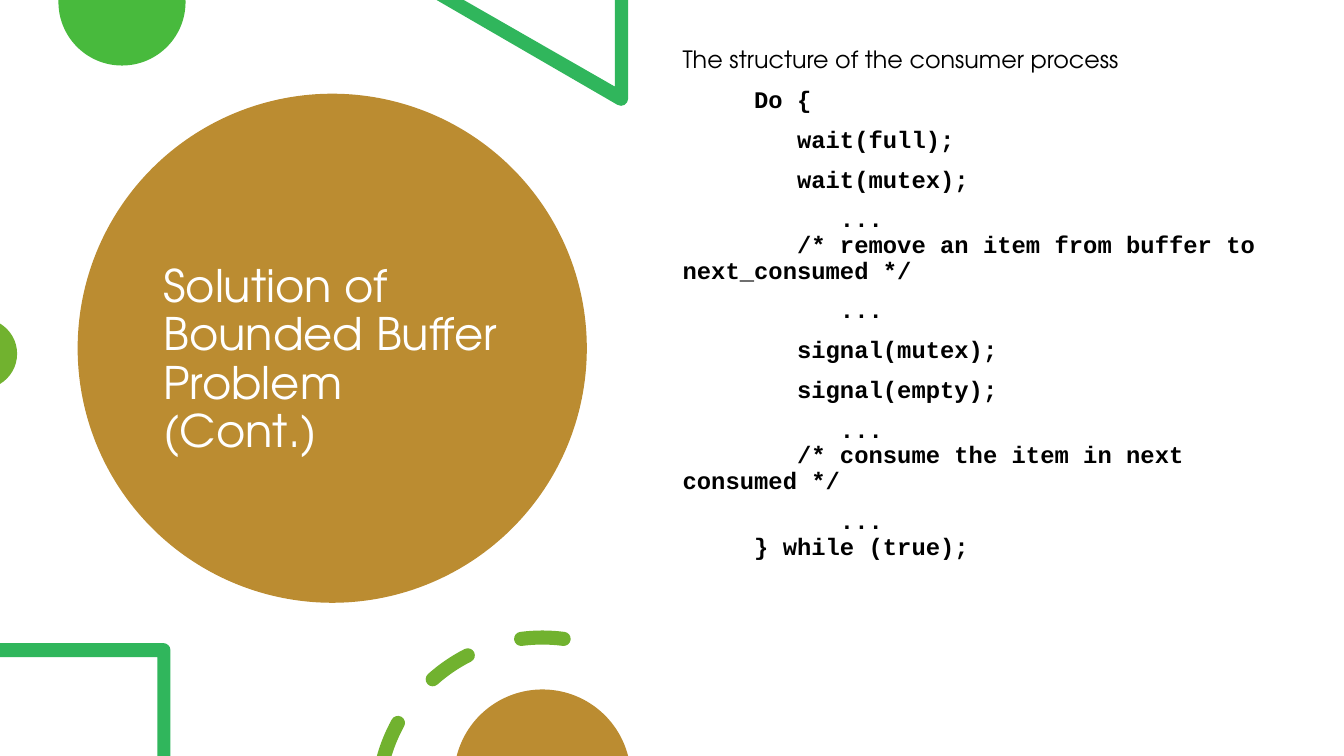
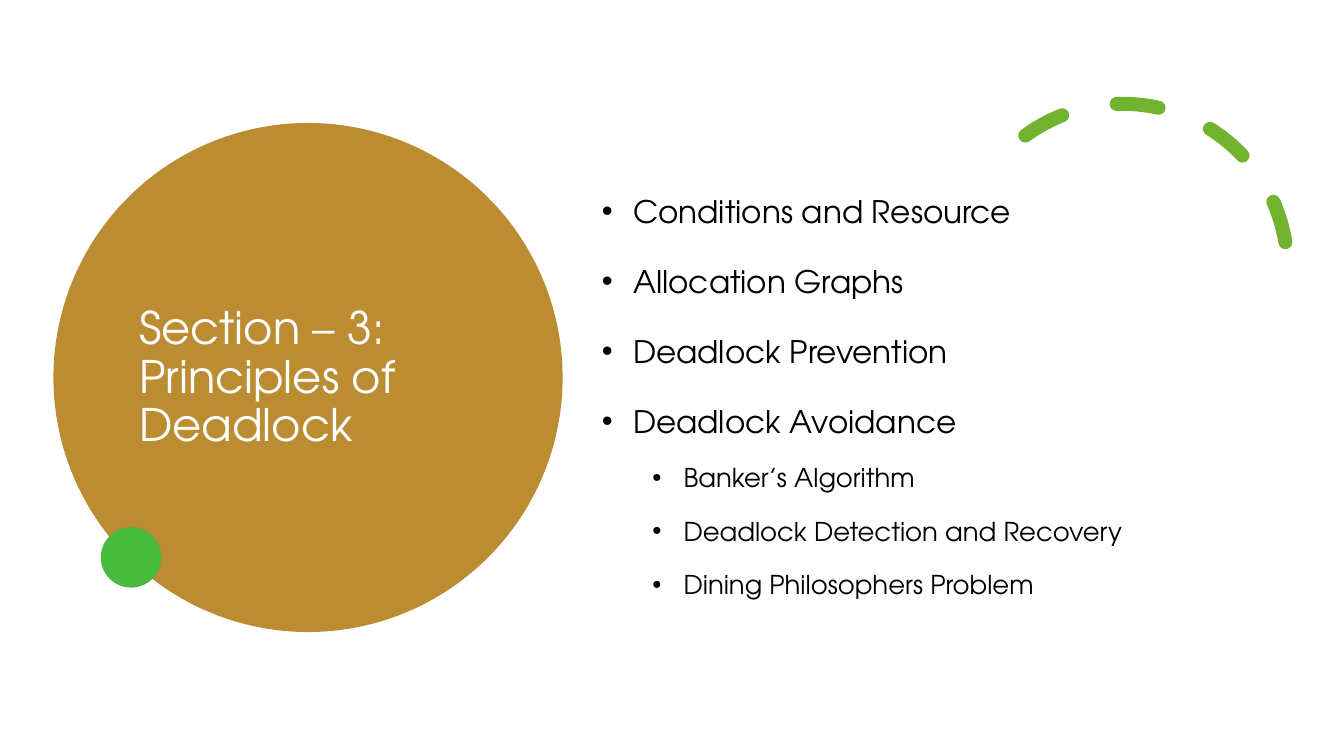
from copy import deepcopy
from math import asin, atan2, cos, degrees, radians, sin, tan

from pptx import Presentation
from pptx.dml.color import RGBColor as RGB
from pptx.enum.dml import MSO_LINE as Dash
from pptx.enum.shapes import MSO_SHAPE as Shape
from pptx.enum.text import MSO_ANCHOR as Anchor, MSO_AUTO_SIZE as Fit, PP_ALIGN as Align
from pptx.oxml.ns import qn
from pptx.oxml.xmlchemy import OxmlElement as Element
from pptx.util import Inches, Pt

WIDE, HIGH = 13.33, 7.5
GOLD = RGB(0xBB, 0x8C, 0x31)
GREEN = RGB(0x48, 0xBA, 0x3D)
JADE = RGB(0x30, 0xB6, 0x5C)
LIME = RGB(0x71, 0xB2, 0x2F)
WHITE = RGB(0xFF, 0xFF, 0xFF)
BLACK = RGB(0, 0, 0)
SANS, MONO = "TeX Gyre Adventor", "Courier New"
DISC = 5.05  # diameter of the title disc
RING = 1.635  # radius of the dashed ring
BAND = 0.07  # half the width of a stroke

CODE = [
    "     Do {",
    "        wait(full);",
    "        wait(mutex);",
    "           ...\v        /* remove an item from buffer to next_consumed */",
    "           ...",
    "        signal(mutex);",
    "        signal(empty);",
    "           ...\v        /* consume the item in next consumed */",
    "           ...\v     } while (true);",
]
TOPICS = [
    (0, "Conditions and Resource"),
    (0, "Allocation Graphs"),
    (0, "Deadlock Prevention"),
    (0, "Deadlock Avoidance"),
    (1, "Banker’s Algorithm"),
    (1, "Deadlock Detection and Recovery"),
    (1, "Dining Philosophers Problem"),
]


# Shapes
def paint(shape, color):
    shape.shadow.inherit = False
    shape.fill.solid()
    shape.fill.fore_color.rgb = color
    shape.line.fill.background()


def solid(slide, kind, x, y, w, h, color):
    paint(slide.shapes.add_shape(
        kind, Inches(x), Inches(y), Inches(w), Inches(h)), color)


def spot(x, y, r, angle):
    """Point on a circle; angles run clockwise from the right."""
    return x + r * cos(radians(angle)), y + r * sin(radians(angle))


def arc(x, y, r, start, end, parts=1):
    """Curves along an arc, each as two handles and an end point."""
    step = (end - start) / parts
    pull = 4 / 3 * tan(radians(step) / 4) * r
    curves = []
    for i in range(parts):
        a = start + i * step
        b = a + step
        first, last = spot(x, y, r, a), spot(x, y, r, b)
        curves.append([spot(*first, pull, a + 90), spot(*last, pull, b - 90), last])
    return curves


def outline(slide, color, *loops):
    """Filled shape; a loop is a first point, then points and curves."""
    pen = None
    for start, *steps in loops:
        at = [Inches(v) for v in start]
        if pen:
            pen.move_to(*at)
        else:
            pen = slide.shapes.build_freeform(*at)
        flat = [p for s in steps for p in (s if isinstance(s, list) else [s])]
        pen.add_line_segments([(Inches(x), Inches(y)) for x, y in flat], close=True)
    shape = pen.convert_to_shape()
    paint(shape, color)
    # Join each run of three curve points into one curve
    legs = iter(list(shape._element.iter(qn("a:lnTo"))))
    for step in (s for loop in loops for s in loop[1:]):
        leg = next(legs)
        if isinstance(step, list):
            curve = Element("a:cubicBezTo")
            leg.addprevious(curve)
            for part in (leg, next(legs), next(legs)):
                curve.append(part[0])
                part.getparent().remove(part)


def cap(slide, x, y, half, rise, face, color):
    """Part of a disc on a chord centred at x, y, bulging towards face."""
    r = (half ** 2 + rise ** 2) / (2 * rise)
    mid = spot(x, y, rise - r, face)
    sweep = degrees(atan2(half, r - rise))
    outline(slide, color, [spot(*mid, r, face - sweep)]
            + arc(*mid, r, face - sweep, face + sweep, 2))


def dash(x, y, start, end):
    """Loop round a piece of the ring, cut flat at the foot of the slide."""
    outer, inner = RING + BAND, RING - BAND
    low, high = [max(start, 180 + degrees(asin((y - HIGH) / r))) for r in (outer, inner)]
    loop = [spot(x, y, outer, low)] + arc(x, y, outer, low, end)
    loop += arc(*spot(x, y, RING, end), BAND, end, end + 180, 2)
    loop += arc(x, y, inner, end, high)
    if low == start:
        loop += arc(*spot(x, y, RING, start), BAND, start + 180, start + 360, 2)
    return loop


# Text
def place(slide, holder, x, y, w, h, anchor):
    slide.shapes._spTree.append(holder._element)
    holder.left, holder.top = Inches(x), Inches(y)
    holder.width, holder.height = Inches(w), Inches(h)
    frame = holder.text_frame
    frame.word_wrap = True
    frame.auto_size = Fit.NONE
    frame.vertical_anchor = anchor
    return frame


def style(para, size, color, font=SANS, bold=False):
    for run in para.runs:
        run.font.size, run.font.name, run.font.bold = Pt(size), font, bold
        run.font.color.rgb = color
    # Line breaks take the size of the text around them
    for gap in para._p.findall(qn("a:br")):
        gap.insert(0, deepcopy(para.runs[0]._r.rPr))


def bullet(para, mark=None, left=0, hang=0):
    props = para._p.get_or_add_pPr()
    props.set("marL", str(Inches(left)))
    props.set("indent", str(-Inches(hang)))
    sign = Element("a:buChar" if mark else "a:buNone")
    if mark:
        sign.set("char", mark)
    props.append(sign)


def lines(frame, texts):
    """Yield one paragraph for each text, with its index."""
    for i, text in enumerate(texts):
        para = frame.add_paragraph() if i else frame.paragraphs[0]
        para.text = text
        yield i, para


def heading(slide, x, y, drop, text):
    """Title on its gold disc, whose box starts at x, y."""
    solid(slide, Shape.RECTANGLE, 0, 0, WIDE, HIGH, WHITE)
    solid(slide, Shape.OVAL, x, y, DISC, DISC, GOLD)
    frame = place(slide, slide.shapes.title, x + 0.75, y + drop, 3.54, 4.45, Anchor.MIDDLE)
    frame.text = text
    para = frame.paragraphs[0]
    para.alignment, para.line_spacing = Align.LEFT, 0.9
    style(para, 32, WHITE)


def listing(slide, x, y, w, h, intro, code):
    frame = place(slide, slide.placeholders[1], x, y, w, h, Anchor.TOP)
    for i, para in lines(frame, [intro] + code):
        bullet(para)
        para.alignment, para.line_spacing = Align.LEFT, 0.9
        para.space_before = Pt(10 if i else 0)
        style(para, 17, BLACK, MONO if i else SANS, i > 0)


def topics(slide, x, y, w, h, items):
    frame = place(slide, slide.placeholders[1], x, y, w, h, Anchor.TOP)
    for i, para in lines(frame, [text for _, text in items]):
        level = items[i][0]
        para.level = level
        bullet(para, "•", 0.31 + 0.5 * level, 0.31)
        para.alignment, para.line_spacing = Align.JUSTIFY, 1.5
        para.space_before = Pt((5 if level else 10) if i else 0)
        style(para, 18.5 if level else 22.2, BLACK)


# Decoration
def upper(slide):
    cap(slide, 1.21, 0, 0.63, 0.65, 90, GREEN)
    outline(slide, JADE, [(6.23, 0), (6.1, 0), (6.1, 0.86), (4.6, 0), (4.33, 0),
                          spot(6.16, 0.98, BAND, 120)] + arc(6.16, 0.98, BAND, 120, 0))
    cap(slide, 0, 3.51, 0.3, 0.17, 0, LIME)


def lower(slide):
    outline(slide, JADE, [(0, 6.52), (0, 6.38), (1.62, 6.38)]
            + arc(1.62, 6.45, BAND, -90, 0)
            + [(1.69, HIGH), (1.56, HIGH), (1.56, 6.52)])
    starts = [194 + 34.3 * i for i in range(3)]
    outline(slide, LIME, *[dash(5.38, 7.96, a, a + 14.8) for a in starts])
    cap(slide, 5.38, HIGH, 0.85, 0.66, 270, GOLD)


def ring(slide, x, y):
    curve = slide.shapes.add_shape(
        Shape.ARC, Inches(x), Inches(y), Inches(2 * RING), Inches(2 * RING))
    curve.shadow.inherit = False
    curve.rotation = 330.2
    curve.adjustments[0], curve.adjustments[1] = 158.17, 17.81
    curve.fill.background()
    curve.line.color.rgb = LIME
    curve.line.width = Pt(10)
    curve.line.dash_style = Dash.DASH
    curve.line._ln.set("cap", "rnd")


# Slides
def consumer(slide):
    heading(slide, 0.77, 0.93, 0.42, "Solution of Bounded Buffer Problem (Cont.)")
    upper(slide)
    listing(slide, 6.67, 0.43, 6.24, 6.18, "The structure of the consumer process", CODE)
    lower(slide)


def section(slide):
    heading(slide, 0.53, 1.22, 0.31, "Section – 3: Principles of Deadlock")
    topics(slide, 5.87, 1.67, 6.05, 4.3, TOPICS)
    ring(slide, 9.5, 1.03)
    solid(slide, Shape.OVAL, 1, 5.23, 0.6, 0.6, GREEN)


def main():
    deck = Presentation()
    deck.slide_width, deck.slide_height = Inches(WIDE), Inches(HIGH)
    for build in (consumer, section):
        build(deck.slides.add_slide(deck.slide_layouts[1]))
    deck.save("out.pptx")


if __name__ == "__main__":
    main()
